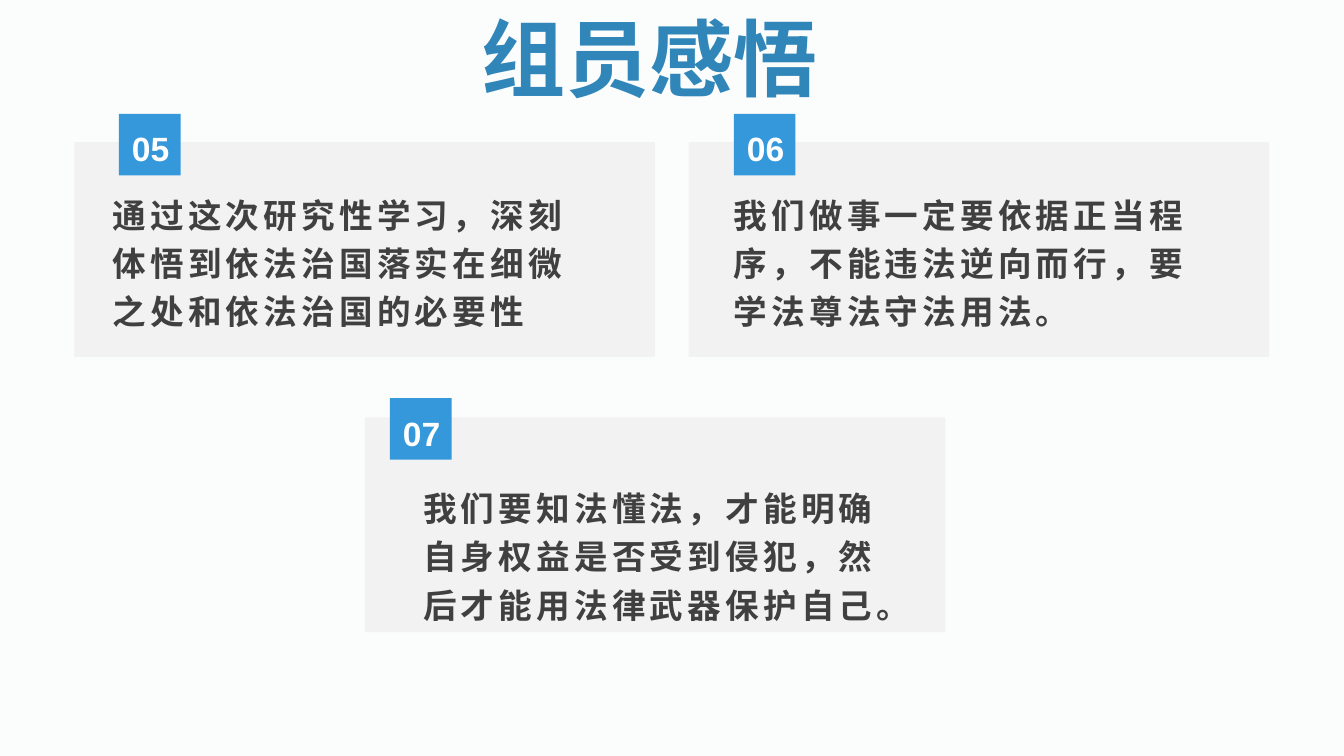
from lxml import etree
from pptx import Presentation
from pptx import util as u
from pptx.dml.color import RGBColor
from pptx.enum import shapes, text
from pptx.oxml import ns

COLORS = {
    "background": "FBFCFC",
    "card": "F2F2F2",
    "badge": "3498DB",
    "number": "FFFFFF",
    "title": "3086B9",
    "body": "404040",
}
LATIN_FONT = "Arial"
CHINESE_FONT = "Noto Sans CJK SC"
CARD_SIZE = (414.7, 153.4)
BADGE_SIZE = (44, 44)
NUMBER_SIZE = (41.8, 38.9)
NUMBER_OFFSET = (1.7, 3.8)
BODY_SIZE = (364.3, 30.2)

REFLECTIONS = [
    ("05", (53.2, 101.5), (85, 81.4), (73.4, 206.6),
     "通过这次研究性学习，深刻体悟到依法治国落实在细微之处和依法治国的必要性"),
    ("06", (491.9, 101.5), (524.2, 81.4), (517, 206.6),
     "我们做事一定要依据正当程序，不能违法逆向而行，要学法尊法守法用法。"),
    ("07", (260.6, 298.1), (278.6, 284.4), (295.2, 416.2),
     "我们要知法懂法，才能明确自身权益是否受到侵犯，然后才能用法律武器保护自己。"),
]


def color(name):
    return RGBColor.from_string(COLORS[name])


def write(frame, content, *, size, fill, font=LATIN_FONT, align=text.PP_ALIGN.LEFT,
          anchor=text.MSO_ANCHOR.TOP, line_spacing=1.0, tracking=0, bottom_inset=3.6):
    frame.word_wrap = True
    frame.auto_size = text.MSO_AUTO_SIZE.NONE
    frame.vertical_anchor = anchor
    frame.margin_left = frame.margin_right = u.Pt(7.2)
    frame.margin_top = u.Pt(3.6)
    frame.margin_bottom = u.Pt(bottom_inset)
    paragraph = frame.paragraphs[0]
    paragraph.alignment = align
    paragraph.line_spacing = line_spacing
    run = paragraph.add_run()
    run.text = content
    run.font.name = font
    run.font.size = u.Pt(size)
    run.font.bold = True
    run.font.color.rgb = color(fill)
    properties = run.font._element
    if tracking:
        properties.set("spc", str(tracking * 100))
    etree.SubElement(properties, ns.qn("a:ea"), typeface=CHINESE_FONT)


class ReflectionSlide:
    def __init__(self, presentation):
        self.slide = presentation.slides.add_slide(presentation.slide_layouts[5])
        background = self.slide.background.fill
        background.solid()
        background.fore_color.rgb = color("background")

    def title(self, content, position, size):
        shape = self.slide.shapes.title
        shape.left, shape.top, shape.width, shape.height = map(u.Pt, position + size)
        write(shape.text_frame, content, size=60, fill="title", font=CHINESE_FONT,
              align=text.PP_ALIGN.CENTER)

    def rectangle(self, position, size, fill):
        shape = self.slide.shapes.add_shape(
            shapes.MSO_SHAPE.RECTANGLE, *map(u.Pt, position + size))
        shape.shadow.inherit = False
        shape.fill.solid()
        shape.fill.fore_color.rgb = color(fill)
        shape.line.fill.background()

    def label(self, content, position, size, **style):
        shape = self.slide.shapes.add_textbox(*map(u.Pt, position + size))
        write(shape.text_frame, content, size=24, **style)

    def reflection(self, number, card, badge, body, content):
        self.rectangle(card, CARD_SIZE, "card")
        self.rectangle(badge, BADGE_SIZE, "badge")
        number_position = tuple(a + b for a, b in zip(badge, NUMBER_OFFSET))
        self.label(number, number_position, NUMBER_SIZE, fill="number",
                   align=text.PP_ALIGN.CENTER, line_spacing=1.1)
        self.label(content, body, BODY_SIZE, fill="body", line_spacing=1.2,
                   anchor=text.MSO_ANCHOR.BOTTOM, tracking=3, bottom_inset=0)


def main():
    presentation = Presentation()
    presentation.slide_width = u.Pt(960)
    presentation.slide_height = u.Pt(540)
    page = ReflectionSlide(presentation)
    page.title("组员感悟", (313.2, 1.4), (301, 80))
    for reflection in REFLECTIONS:
        page.reflection(*reflection)
    presentation.save("out.pptx")


if __name__ == "__main__":
    main()
